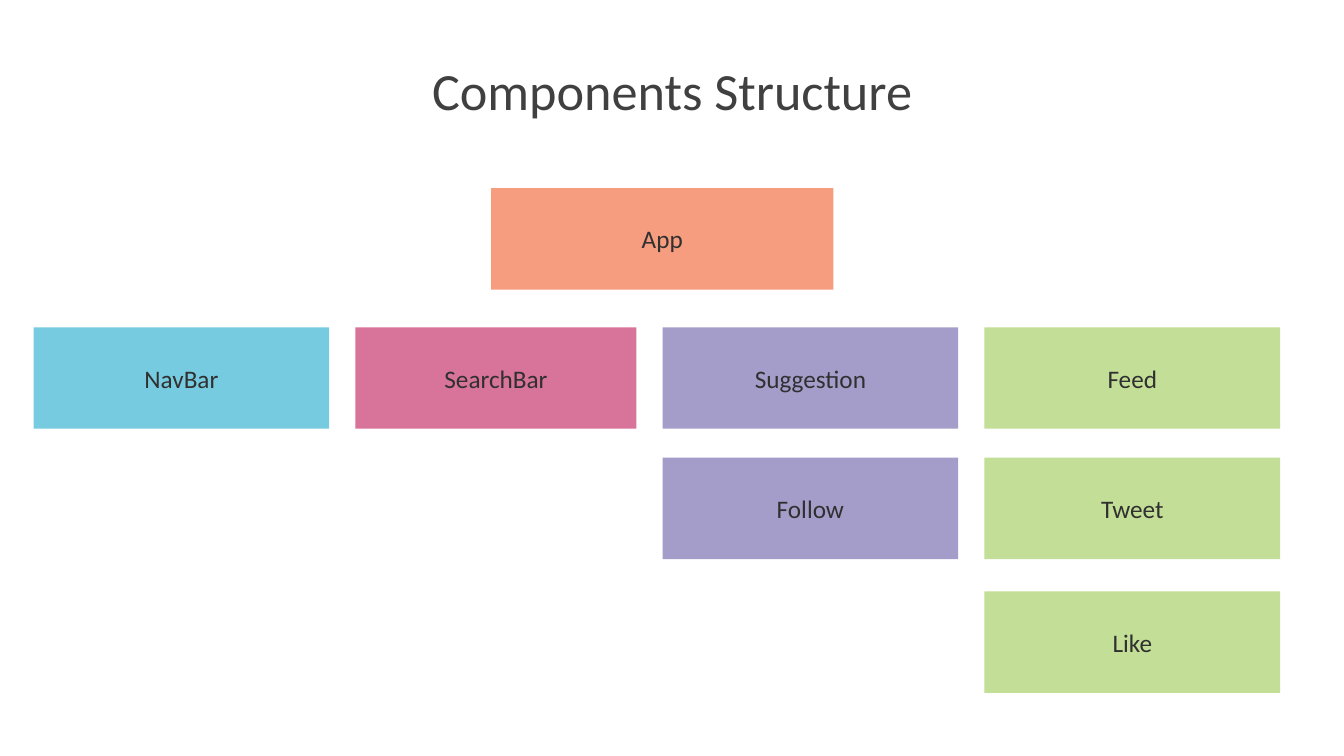
from typing import NamedTuple

from pptx import Presentation
from pptx.dml.color import RGBColor
from pptx.enum.shapes import MSO_SHAPE
from pptx.enum.text import MSO_ANCHOR, PP_ALIGN
from pptx.slide import Slide
from pptx.text.text import TextFrame
from pptx.util import Inches, Pt

RECTANGLE = MSO_SHAPE.RECTANGLE
MIDDLE = MSO_ANCHOR.MIDDLE
CENTER = PP_ALIGN.CENTER

FONT = "Calibri"
TITLE_COLOR = RGBColor(0x40, 0x40, 0x40)
LABEL_COLOR = RGBColor(0x30, 0x30, 0x30)
ORANGE = RGBColor(0xF7, 0x9D, 0x7F)
BLUE = RGBColor(0x76, 0xCB, 0xE0)
PINK = RGBColor(0xD8, 0x73, 0x9A)
PURPLE = RGBColor(0xA4, 0x9D, 0xCA)
GREEN = RGBColor(0xC3, 0xDE, 0x96)

BOX_HEIGHT = 1.51
APP_TOP = 2.8
ROW_TOPS = (4.87, 6.81, 8.8)
COLUMN_GAP = 0.39
FIRST_LEFT = 0.5


class Column(NamedTuple):
    width: float
    color: RGBColor
    components: tuple[str, ...]


COLUMNS = (
    Column(4.4, BLUE, ("NavBar",)),
    Column(4.18, PINK, ("SearchBar",)),
    Column(4.4, PURPLE, ("Suggestion", "Follow")),
    Column(4.4, GREEN, ("Feed", "Tweet", "Like")),
)


def write_text(frame: TextFrame, text: str, size: int, color: RGBColor) -> None:
    frame.text = text
    frame.word_wrap = True
    frame.vertical_anchor = MIDDLE
    para = frame.paragraphs[0]
    para.alignment = CENTER
    span = para.runs[0]
    span.font.name = FONT
    span.font.size = Pt(size)
    span.font.color.rgb = color


def add_title(page: Slide, text: str) -> None:
    box = page.shapes.add_textbox(Inches(1.38), Inches(0.94), Inches(17.25), Inches(0.89))
    write_text(box.text_frame, text, 56, TITLE_COLOR)
    box.text_frame.paragraphs[0].line_spacing = 0.9


def add_component(
    page: Slide, name: str, left: float, top: float, width: float, color: RGBColor
) -> None:
    box = page.shapes.add_shape(
        RECTANGLE, Inches(left), Inches(top), Inches(width), Inches(BOX_HEIGHT)
    )
    box.shadow.inherit = False
    box.fill.solid()
    box.fill.fore_color.rgb = color
    box.line.fill.background()
    write_text(box.text_frame, name, 27, LABEL_COLOR)


def main() -> None:
    deck = Presentation()
    deck.slide_width = Inches(20)
    deck.slide_height = Inches(11.25)
    page = deck.slides.add_slide(deck.slide_layouts[6])

    add_title(page, "Components Structure")
    add_component(page, "App", 7.31, APP_TOP, 5.09, ORANGE)

    left = FIRST_LEFT
    for column in COLUMNS:
        for name, top in zip(column.components, ROW_TOPS):
            add_component(page, name, left, top, column.width, column.color)
        left += column.width + COLUMN_GAP

    deck.save("out.pptx")


if __name__ == "__main__":
    main()
